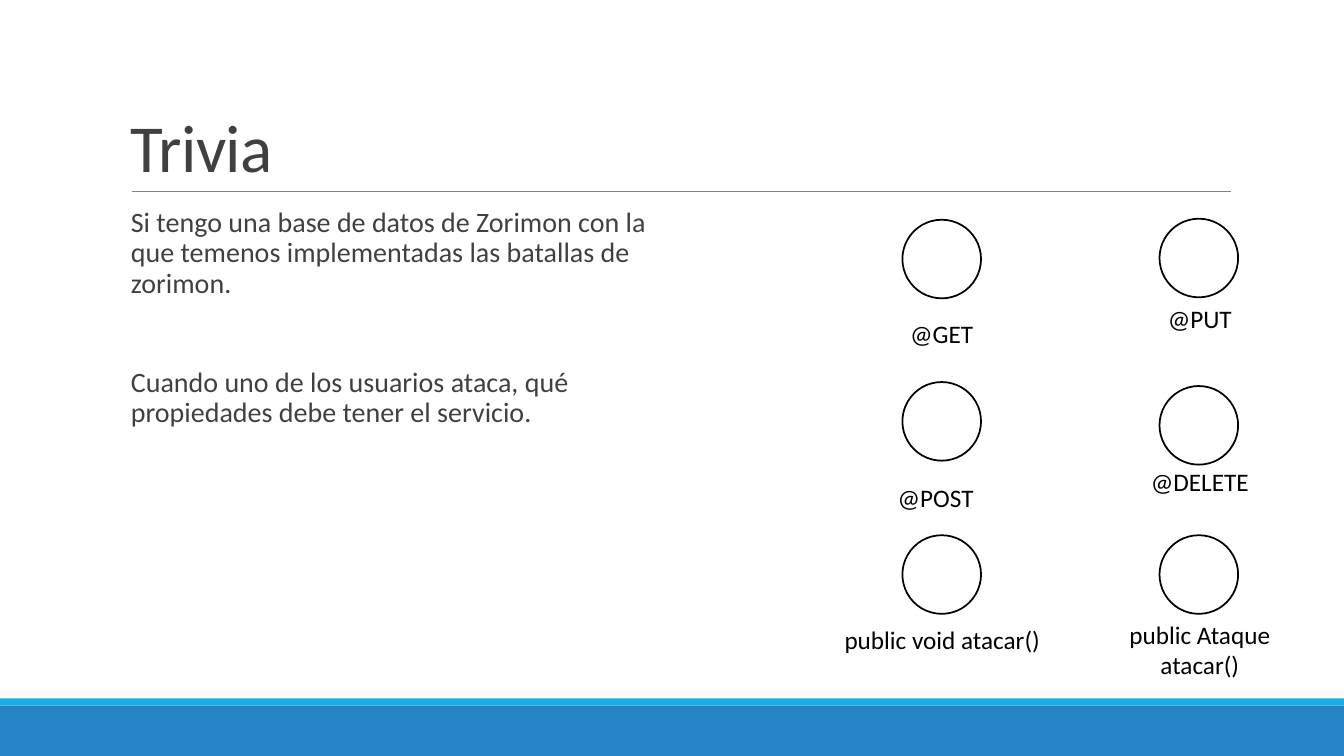
from lxml.etree import SubElement
from pptx import Presentation
from pptx.dml.color import RGBColor
from pptx.enum.shapes import MSO_CONNECTOR, MSO_SHAPE
from pptx.enum.text import MSO_ANCHOR, PP_ALIGN
from pptx.oxml.ns import qn
from pptx.util import Inches, Pt

BLUE = RGBColor(0x26, 0x83, 0xC6)
CYAN = RGBColor(0x1C, 0xAD, 0xE4)
GRAY = RGBColor(0x80, 0x80, 0x80)
DARK = RGBColor(0x40, 0x40, 0x40)
BLACK = RGBColor(0, 0, 0)

WIDTH, HEIGHT = 13.33, 7.5
DOT = 0.78
LEFT, RIGHT = 8.95, 11.5  # circle columns

STORY = [
    "Si tengo una base de datos de Zorimon con la que temenos "
    "implementadas las batallas de zorimon.",
    "Cuando uno de los usuarios ataca, qué propiedades debe tener el servicio.",
]

# circle left, circle top, label, label box
CHOICES = [
    (LEFT, 2.18, "@GET", (8.6, 3.11, 1.48, 0.4)),
    (RIGHT, 2.17, "@PUT", (10.88, 2.96, 2.04, 0.4)),
    (LEFT, 3.79, "@POST", (8.54, 4.74, 1.48, 0.4)),
    (RIGHT, 3.83, "@DELETE", (10.88, 4.58, 2.04, 0.4)),
    (LEFT, 5.31, "public void atacar()", (8.22, 6.14, 2.25, 0.4)),
    (RIGHT, 5.31, "public Ataque atacar()", (10.88, 6.09, 2.04, 0.71)),
]


class Painter:
    font = "Calibri"

    def __init__(self, slide):
        self.shapes = slide.shapes

    def bar(self, top, height, color):
        box = [Inches(n) for n in (0, top, WIDTH, height)]
        bar = self.shapes.add_shape(MSO_SHAPE.RECTANGLE, *box)
        bar.shadow.inherit = False
        bar.fill.solid()
        bar.fill.fore_color.rgb = color
        bar.line.fill.background()

    def rule(self, left, right, top):
        ends = [Inches(n) for n in (left, top, right, top)]
        rule = self.shapes.add_connector(MSO_CONNECTOR.STRAIGHT, *ends)
        rule.line.color.rgb = GRAY
        rule.line.width = Pt(0.5)
        SubElement(rule._element.spPr, qn("a:effectLst"))

    def ring(self, left, top):
        box = [Inches(n) for n in (left, top, DOT, DOT)]
        ring = self.shapes.add_shape(MSO_SHAPE.OVAL, *box)
        ring.shadow.inherit = False
        ring.fill.background()
        ring.line.color.rgb = BLACK
        ring.line.width = Pt(1.25)

    def text(self, box, lines, size, color, align=PP_ALIGN.LEFT,
             anchor=MSO_ANCHOR.TOP, pitch=None, gap=0, track=0):
        """Write lines; pitch is line spacing, gap the points between them."""
        shape = self.shapes.add_textbox(*[Inches(n) for n in box])
        frame = shape.text_frame
        frame.word_wrap = True
        frame.vertical_anchor = anchor
        for index, line in enumerate(lines):
            para = frame.add_paragraph() if index else frame.paragraphs[0]
            para.alignment = align
            para.line_spacing = pitch
            para.space_before = Pt(gap if index else 0)
            run = para.add_run()
            run.text = line
            run.font.name = self.font
            run.font.size = Pt(size)
            run.font.color.rgb = color
            if track:
                run.font._element.set("spc", str(int(track * 100)))


def main():
    deck = Presentation()
    deck.slide_width = Inches(WIDTH)
    deck.slide_height = Inches(HEIGHT)
    pen = Painter(deck.slides.add_slide(deck.slide_layouts[6]))

    pen.bar(7, 0.5, BLUE)
    pen.bar(6.93, 0.07, CYAN)
    pen.rule(1.31, 12.21, 1.9)
    pen.text((1.2, 0.31, 11, 1.59), ["Trivia"], 48, DARK,
             anchor=MSO_ANCHOR.BOTTOM, pitch=0.85, track=-0.5)
    pen.text((1.2, 2.02, 5.6, 4.4), STORY, 20, DARK, pitch=0.9, gap=49)
    for left, top, label, box in CHOICES:
        pen.ring(left, top)
        pen.text(box, [label], 18, BLACK, align=PP_ALIGN.CENTER)

    deck.save("out.pptx")


if __name__ == "__main__":
    main()
